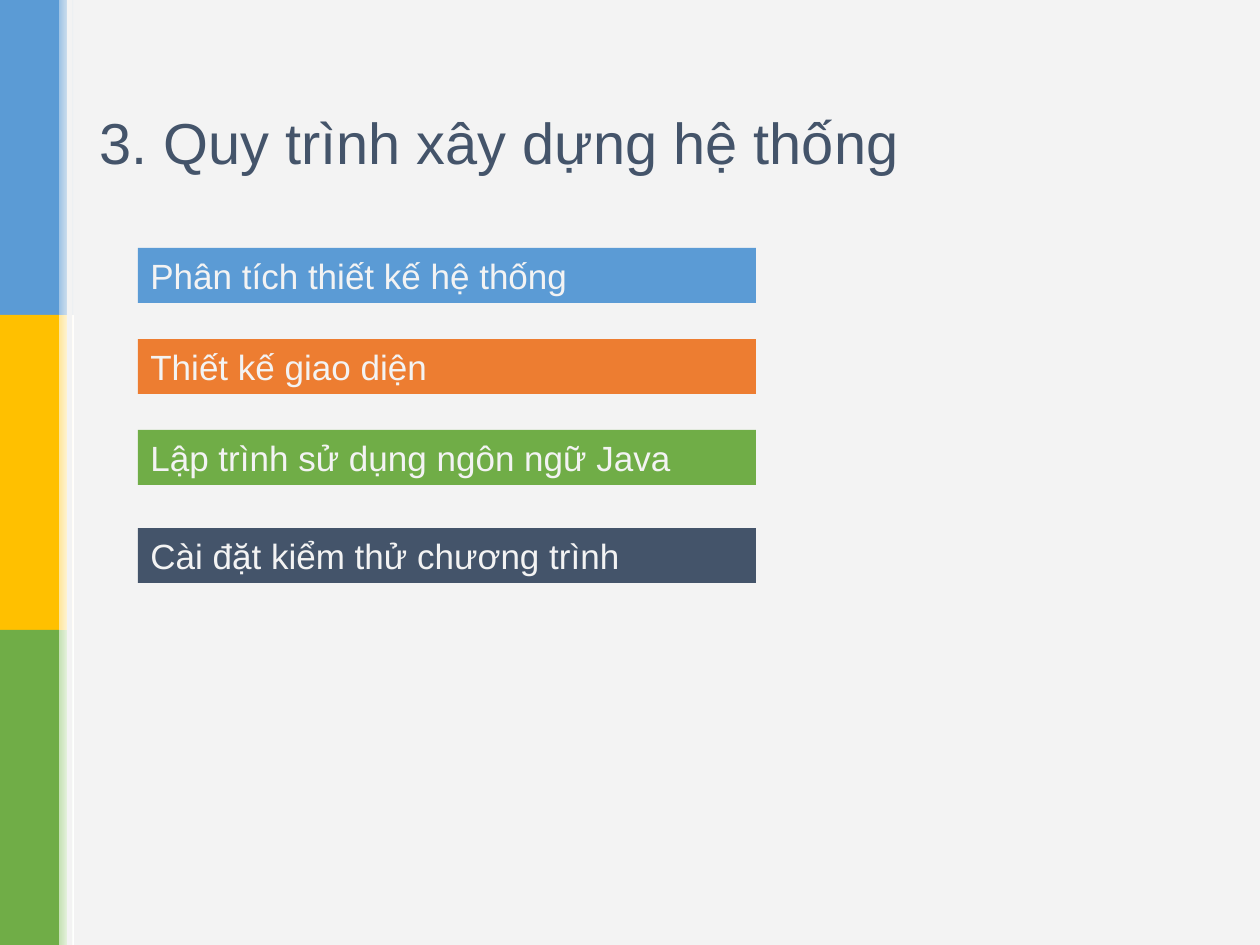
"""Builds the slide that lists the steps of building the system."""
from dataclasses import dataclass

from pptx import Presentation
from pptx.dml.color import RGBColor as Rgb
from pptx.enum.shapes import MSO_SHAPE as Shape
from pptx.enum.text import MSO_ANCHOR as Anchor, MSO_AUTO_SIZE as AutoSize, PP_ALIGN as Align
from pptx.util import Emu, Pt


@dataclass(frozen=True)
class Theme:
    font: str = "Arial"
    title_size: int = 33
    step_size: int = 20
    paper: str = "F3F3F3"
    white: str = "FFFFFF"
    blue: str = "5B9BD5"
    orange: str = "ED7D31"
    green: str = "70AD47"
    yellow: str = "FFC000"
    navy: str = "44546A"
    pale_blue: str = "9CC2E5"
    pale_yellow: str = "FEE599"
    pale_green: str = "C4E0B2"


def px(*lengths):
    return [Emu(round(length * 914400 / 126)) for length in lengths]


def add_block(page, place, color):
    block = page.shapes.add_shape(Shape.RECTANGLE, *px(*place))
    block.shadow.inherit = False
    block.line.fill.background()
    block.fill.solid()
    block.fill.fore_color.rgb = Rgb.from_string(color)
    return block


theme = Theme()
deck = Presentation()
deck.slide_width, deck.slide_height = px(1260, 945)
page = deck.slides.add_slide(deck.slide_layouts[5])

add_block(page, (0, 0, 1260, 945), theme.paper)

bands = [
    (theme.blue, theme.pale_blue, theme.paper),
    (theme.yellow, theme.pale_yellow, theme.white),
    (theme.green, theme.pale_green, theme.white),
]
for row, (color, start, end) in enumerate(bands):
    top = row * 315
    add_block(page, (0, top, 59, 315), color)
    fade = add_block(page, (59, top, 15, 315), start)
    fade.fill.gradient()
    fade.fill.gradient_angle = 0
    for stop, shade in zip(fade.fill.gradient_stops, (start, end)):
        stop.color.rgb = Rgb.from_string(shade)
add_block(page, (67, 0, 5, 945), theme.paper)

title = page.shapes.title
title.element.getparent().append(title.element)
title.left, title.top, title.width, title.height = px(87, 50, 1087, 183)
title.text_frame.vertical_anchor = Anchor.MIDDLE
para = title.text_frame.paragraphs[0]
para.alignment = Align.LEFT
span = para.add_run()
span.text = "3. Quy trình xây dựng hệ thống"
span.font.name = theme.font
span.font.size = Pt(theme.title_size)
span.font.color.rgb = Rgb.from_string(theme.navy)

steps = [
    (248, theme.blue, "Phân tích thiết kế hệ thống"),
    (339, theme.orange, "Thiết kế giao diện"),
    (430, theme.green, "Lập trình sử dụng ngôn ngữ Java"),
    (528, theme.navy, "Cài đặt kiểm thử chương trình"),
]
for top, color, words in steps:
    box = add_block(page, (138, top, 618, 55), color)
    frame = box.text_frame
    frame.word_wrap = True
    frame.auto_size = AutoSize.SHAPE_TO_FIT_TEXT
    frame.vertical_anchor = Anchor.TOP
    para = frame.paragraphs[0]
    para.alignment = Align.LEFT
    span = para.add_run()
    span.text = words
    span.font.name = theme.font
    span.font.size = Pt(theme.step_size)
    span.font.color.rgb = Rgb.from_string(theme.paper)

deck.save("out.pptx")
